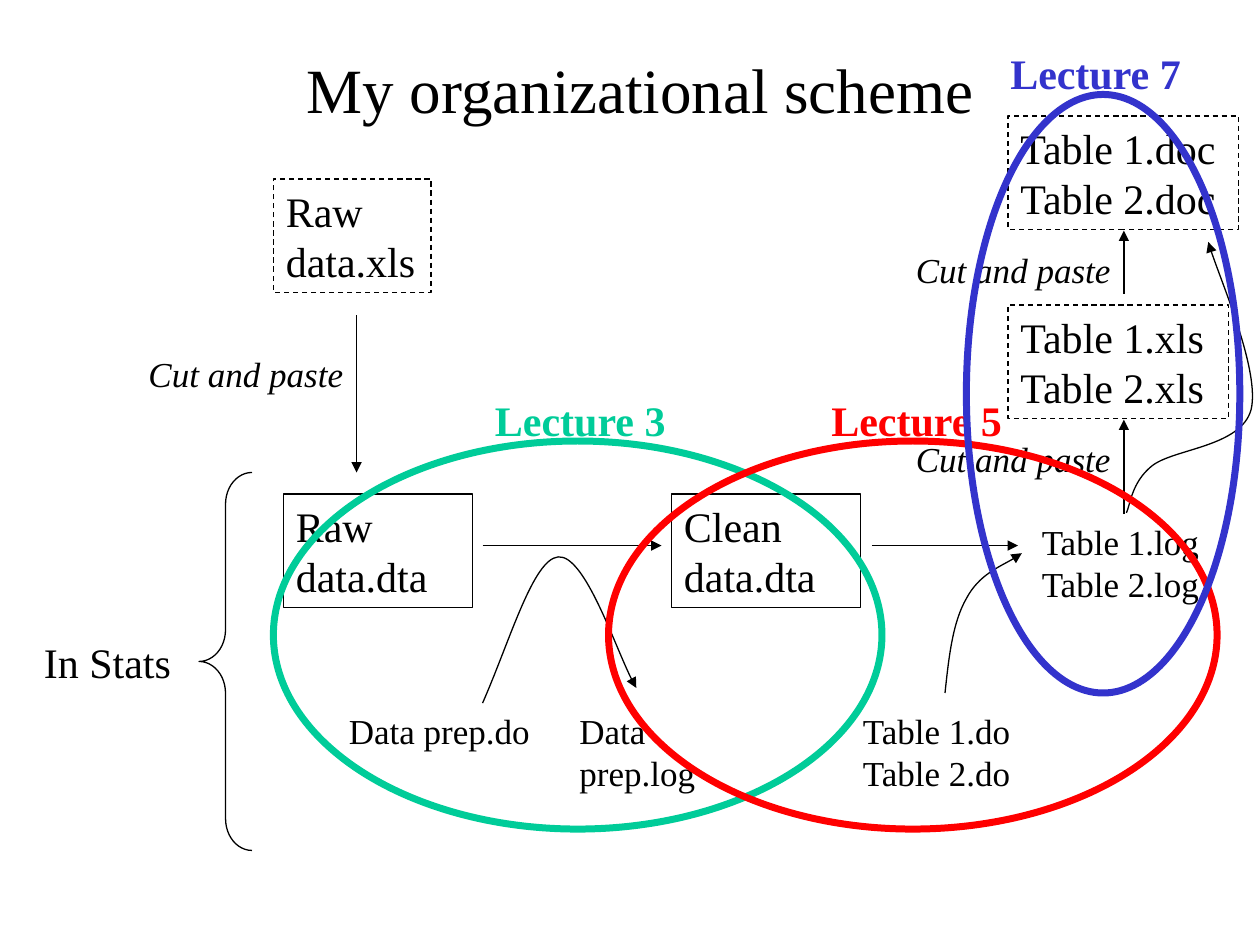
import dataclasses

import pptx
import pptx.dml.color
import pptx.enum.dml
import pptx.enum.shapes
import pptx.enum.text
import pptx.oxml
import pptx.oxml.ns
import pptx.util

Inches = pptx.util.Inches
Pt = pptx.util.Pt
Shape = pptx.enum.shapes.MSO_SHAPE
qn = pptx.oxml.ns.qn


@dataclasses.dataclass(frozen=True)
class Theme:
    font: str = "Times New Roman"
    ink: str = "000000"
    green: str = "00CC99"
    red: str = "FF0000"
    blue: str = "3333CC"
    title: int = 36
    large: int = 24
    small: int = 20
    thin: float = 0.75
    thick: float = 4


theme = Theme()


def write(shape, text, size, color=theme.ink, bold=False, italic=False,
          align=pptx.enum.text.PP_ALIGN.LEFT, anchor=pptx.enum.text.MSO_ANCHOR.TOP):
    frame = shape.text_frame
    frame.word_wrap = True
    frame.vertical_anchor = anchor
    frame.text = text
    for paragraph in frame.paragraphs:
        paragraph.alignment = align
        font = paragraph.font
        font.name, font.size, font.bold, font.italic = theme.font, Pt(size), bold, italic
        font.color.rgb = pptx.dml.color.RGBColor.from_string(color)


def outline(shape, color=theme.ink, width=theme.thin, dashed=False, arrow=False):
    """Leave only a plain line, with neither fill nor shadow."""
    if hasattr(shape, "fill"):
        shape.fill.background()
    shape.line.color.rgb = pptx.dml.color.RGBColor.from_string(color)
    shape.line.width = Pt(width)
    if dashed:
        shape.line.dash_style = pptx.enum.dml.MSO_LINE.DASH
    properties = shape.element.spPr
    if arrow:
        head = properties.find(qn("a:ln")).makeelement(qn("a:tailEnd"), {"type": "triangle"})
        properties.find(qn("a:ln")).append(head)
    properties.append(properties.makeelement(qn("a:effectLst"), {}))


deck = pptx.Presentation()
deck.slide_width, deck.slide_height = Inches(10), Inches(7.5)
slide = deck.slides.add_slide(deck.slide_layouts[5])
shapes = slide.shapes

title = shapes.title
title.left, title.top, title.width, title.height = map(Inches, (0.83, 0.33, 8.5, 0.75))
write(title, "My organizational scheme", theme.title,
      align=pptx.enum.text.PP_ALIGN.CENTER, anchor=pptx.enum.text.MSO_ANCHOR.MIDDLE)

# Data files: dashed when they live outside the statistics program
for text, left, top, width, dashed in (
    ("Raw data.xls", 2.17, 1.42, 1.25, True),
    ("Raw data.dta", 2.25, 3.92, 1.5, False),
    ("Clean data.dta", 5.33, 3.92, 1.5, False),
    ("Table 1.xls Table 2.xls", 8, 2.42, 1.75, True),
    ("Table 1.doc Table 2.doc", 8, 0.92, 1.83, True),
):
    data_file = shapes.add_shape(
        Shape.RECTANGLE, Inches(left), Inches(top), Inches(width), Inches(0.9))
    outline(data_file, dashed=dashed)
    write(data_file, text, theme.large)

brace = shapes.add_shape(
    Shape.LEFT_BRACE, Inches(1.58), Inches(3.75), Inches(0.42), Inches(3))
brace.adjustments[0] = 0.6
outline(brace)

for text, left, top, width, height, size, italic in (
    ("In Stats", 0.25, 5, 1.33, 0.5, theme.large, False),
    ("Cut and paste", 1.08, 2.75, 1.75, 0.44, theme.small, True),
    ("Cut and paste", 7.17, 3.42, 1.75, 0.44, theme.small, True),
    ("Cut and paste", 7.17, 1.92, 1.75, 0.44, theme.small, True),
    ("Data prep.do", 2.67, 5.58, 1.64, 0.44, theme.small, False),
    ("Data prep.log", 4.5, 5.58, 1.71, 0.44, theme.small, False),
    ("Table 1.do\nTable 2.do", 6.75, 5.58, 1.67, 0.77, theme.small, False),
    ("Table 1.log\nTable 2.log", 8.17, 4.08, 1.67, 0.77, theme.small, False),
):
    label = shapes.add_textbox(Inches(left), Inches(top), Inches(width), Inches(height))
    write(label, text, size, italic=italic)

for x1, y1, x2, y2 in (
    (2.83, 2.5, 2.83, 3.75),
    (3.83, 4.33, 5.25, 4.33),
    (6.92, 4.33, 8.08, 4.33),
    (8.92, 4.08, 8.92, 3.33),
    (8.92, 2.33, 8.92, 1.83),
):
    step = shapes.add_connector(
        pptx.enum.shapes.MSO_CONNECTOR.STRAIGHT, Inches(x1), Inches(y1), Inches(x2), Inches(y2))
    outline(step, arrow=True)

# Each curve is a start point, then two control points and an end per segment
for start, *controls in (
    ((3.83, 5.58), (4.05, 5.08), (4.23, 4.44), (4.43, 4.42),
     (4.64, 4.4), (4.92, 5.25), (5.05, 5.46)),
    ((7.5, 5.5), (7.53, 5.22), (7.56, 4.94), (7.67, 4.75),
     (7.77, 4.56), (8.02, 4.46), (8.11, 4.39)),
    ((8.94, 4.07), (8.97, 4.01), (8.98, 3.83), (9.14, 3.7),
     (9.31, 3.56), (9.85, 3.55), (9.93, 3.25),
     (10, 2.95), (9.65, 2.14), (9.59, 1.92)),
):
    builder = shapes.build_freeform(*start, scale=Inches(1))
    builder = shapes.build_freeform(Inches(start[0]), Inches(start[1]))
    builder.add_line_segments([(Inches(x), Inches(y)) for x, y in controls], close=False)
    curve = builder.convert_to_shape()
    legs = list(curve.element.iter(qn("a:lnTo")))
    for first in range(0, len(legs), 3):
        bezier = legs[first].makeelement(qn("a:cubicBezTo"), {})
        legs[first].addprevious(bezier)
        for leg in legs[first:first + 3]:
            bezier.append(leg[0])
            leg.getparent().remove(leg)
    outline(curve, arrow=True)

# Lectures: ring position and size, then label position and width
for text, color, ring, (left, top, width) in (
    ("Lecture 3", theme.green, (2.17, 3.5, 4.83, 3.08), (3.83, 3.08, 1.58)),
    ("Lecture 5", theme.red, (4.83, 3.5, 4.83, 3.08), (6.5, 3.08, 1.58)),
    ("Lecture 7", theme.blue, (7.67, 0.75, 2.17, 4.75), (7.92, 0.33, 1.67)),
):
    lecture = shapes.add_shape(Shape.OVAL, *map(Inches, ring))
    outline(lecture, color, theme.thick)
    heading = shapes.add_textbox(Inches(left), Inches(top), Inches(width), Inches(0.5))
    write(heading, text, theme.large, color, bold=True)

deck.save("out.pptx")
